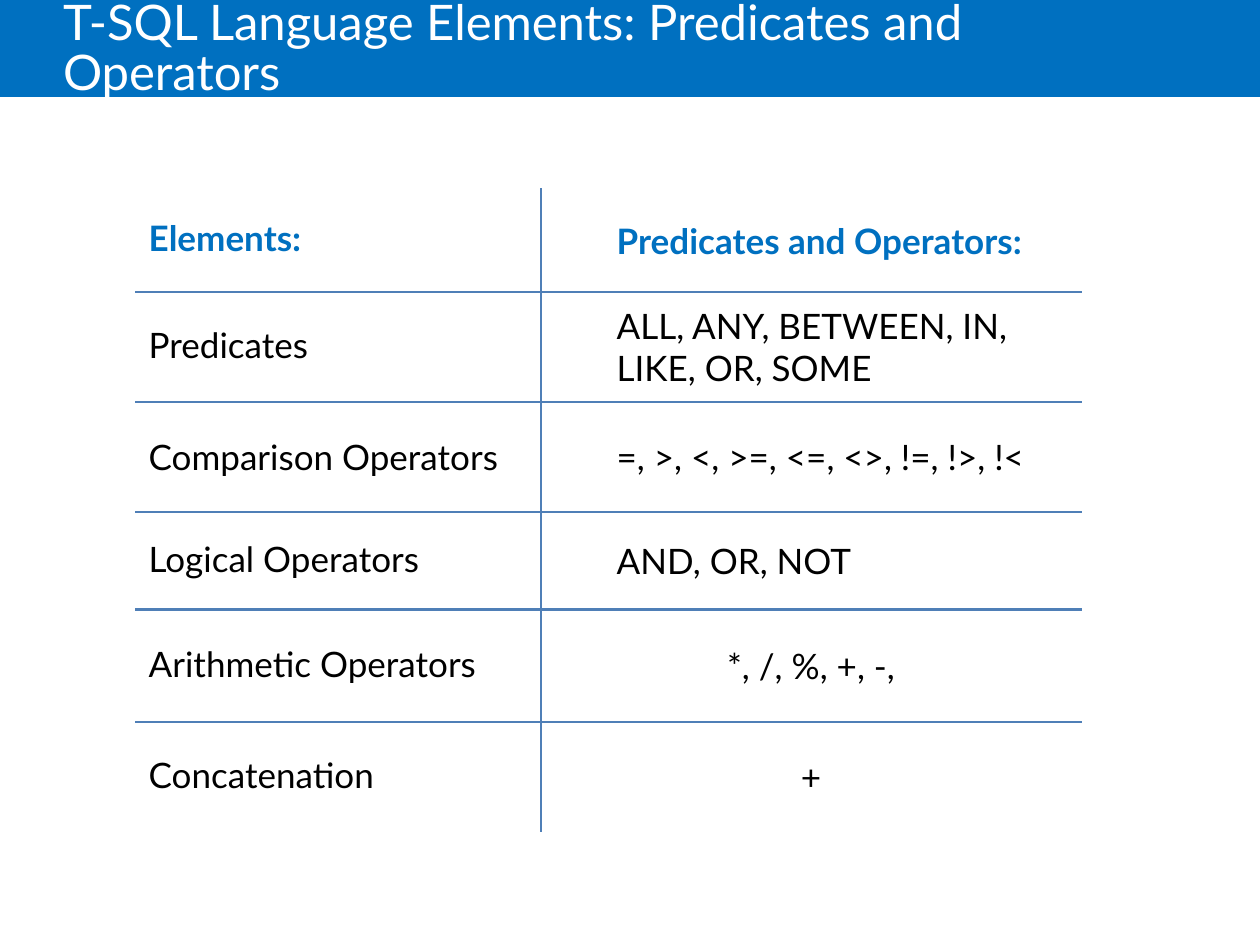
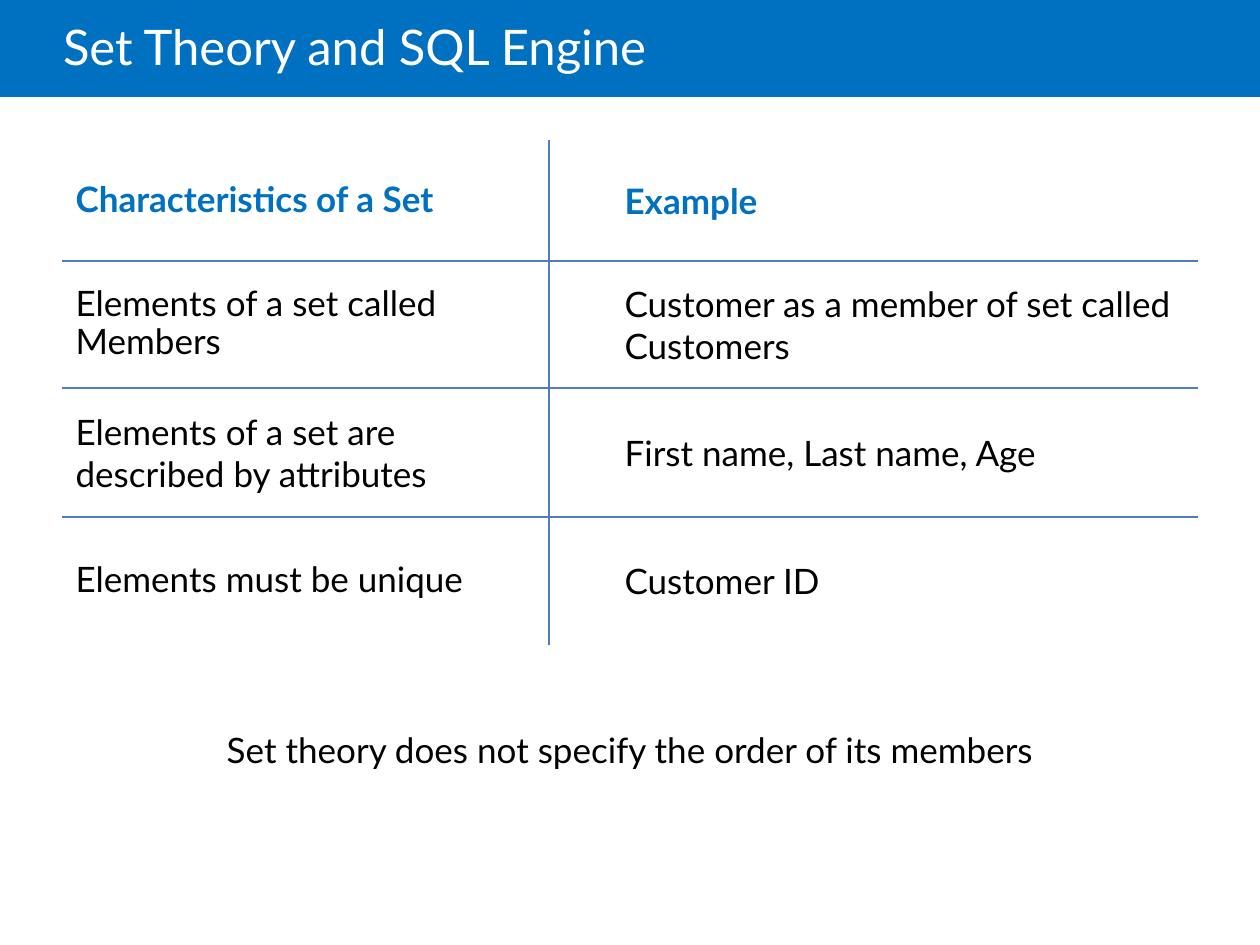
"""Builds two slides on SQL operators and set theory, each with a ruled two-column table."""
from lxml import etree
from pptx import Presentation
from pptx import util as u
from pptx.dml.color import RGBColor
from pptx.enum import shapes, text
from pptx.oxml.ns import qn

BLUE = RGBColor(0x00, 0x70, 0xC0)
RULE = RGBColor(0x4F, 0x7F, 0xB7)
WHITE = RGBColor(0xFF, 0xFF, 0xFF)
BLACK = RGBColor(0x00, 0x00, 0x00)
LEFT, CENTER = text.PP_ALIGN.LEFT, text.PP_ALIGN.CENTER
MARGIN, INDENT = u.Inches(0.1), u.Inches(0.5)

deck = Presentation()
deck.slide_width, deck.slide_height = u.Inches(10), u.Inches(7.5)
COL, ROW = deck.slide_width // 100, deck.slide_height // 100
layout = deck.slide_layouts[5]


def place(left, top, width, height):
    return u.Emu(left * COL), u.Emu(top * ROW), u.Emu(width * COL), u.Emu(height * ROW)


def write(frame, words, size=20, color=BLACK, bold=False, align=LEFT, spacing=1.0):
    frame.word_wrap = True
    paragraph = frame.paragraphs[0]
    paragraph.alignment, paragraph.line_spacing = align, spacing
    run = paragraph.add_run()
    run.text = words
    run.font.name, run.font.size, run.font.bold = "Lato", u.Pt(size), bold
    run.font.color.rgb = color


topics = [
    {
        "title": "T-SQL Language Elements: Predicates and Operators",
        "left": 10.8, "top": 20, "width": 75,
        "heights": [10.9, 11.6, 11.7, 10.3, 11.9, 11.7],
        "rows": [
            ("Elements:", "Predicates and Operators:"),
            ("Predicates", "ALL, ANY, BETWEEN, IN, LIKE, OR, SOME"),
            ("Comparison Operators", "=, >, <, >=, <=, <>, !=, !>, !<"),
            ("Logical Operators", "AND, OR, NOT"),
            ("Arithmetic Operators", "*, /, %, +, -,"),
            ("Concatenation", "+"),
        ],
        "loose": "Comparison Operators",
        "centered": ("*, /, %, +, -,", "+"),
    },
    {
        "title": "Set Theory and SQL Engine",
        "left": 5, "top": 14.9, "width": 90,
        "heights": [12.7, 13.5, 13.6, 13.6],
        "rows": [
            ("Characteristics of a Set", "Example"),
            ("Elements of a set called Members", "Customer as a member of set called Customers"),
            ("Elements of a set are described by attributes", "First name, Last name, Age"),
            ("Elements must be unique", "Customer ID"),
        ],
        "loose": "Elements of a set are described by attributes",
        "centered": (),
        "closing": "Set theory does not specify the order of its members",
    },
]

for number, topic in enumerate(topics):
    slide = deck.slides.add_slide(layout)
    if number == 0:
        band = slide.shapes.add_shape(shapes.MSO_SHAPE.RECTANGLE, *place(0, 0, 100, 10.27))
        band.shadow.inherit = False
        band.fill.solid()
        band.fill.fore_color.rgb = BLUE
        band.line.fill.background()
        layout.shapes.element.insert(2, band.element)

    title = slide.shapes.title
    title.left, title.top, title.width, title.height = place(5, 0, 85, 10.8)
    heading = title.text_frame
    heading.auto_size = text.MSO_AUTO_SIZE.NONE
    heading.vertical_anchor = text.MSO_ANCHOR.MIDDLE
    heading.margin_left = 0
    write(heading, topic["title"], size=28, color=WHITE, spacing=0.85)

    rows, heights = topic["rows"], topic["heights"]
    area = place(topic["left"], topic["top"], topic["width"], sum(heights))
    table = slide.shapes.add_table(len(rows), 2, *area).table
    table.first_row = table.horz_banding = False
    for column, share in zip(table.columns, (3 / 7, 4 / 7)):
        column.width = u.Emu(int(topic["width"] * COL * share))

    for r, (pair, height) in enumerate(zip(rows, heights)):
        table.rows[r].height = u.Emu(height * ROW)
        for c, words in enumerate(pair):
            cell = table.cell(r, c)
            centered = words in topic["centered"]
            cell.margin_right = cell.margin_top = cell.margin_bottom = MARGIN
            cell.margin_left = MARGIN + INDENT if c == 1 and not centered else MARGIN
            cell.vertical_anchor = text.MSO_ANCHOR.MIDDLE
            write(cell.text_frame, words, color=BLUE if r == 0 else BLACK, bold=r == 0,
                  align=CENTER if centered else LEFT,
                  spacing=0.9 if c == 0 and words != topic["loose"] else 1.0)

            inner = {"lnL": c == 1, "lnR": c == 0, "lnT": r > 0, "lnB": r < len(rows) - 1}
            properties = cell._tc.get_or_add_tcPr()
            for edge in (name for name, ruled in inner.items() if ruled):
                line = etree.SubElement(properties, qn(f"a:{edge}"), w=str(u.Pt(1.5)))
                paint = etree.SubElement(line, qn("a:solidFill"))
                etree.SubElement(paint, qn("a:srgbClr"), val=str(RULE))
            cell.fill.background()

    if "closing" in topic:
        closing = slide.shapes.add_textbox(*place(5, 76.4, 90, 5.9))
        write(closing.text_frame, topic["closing"], align=CENTER)

deck.save("out.pptx")
